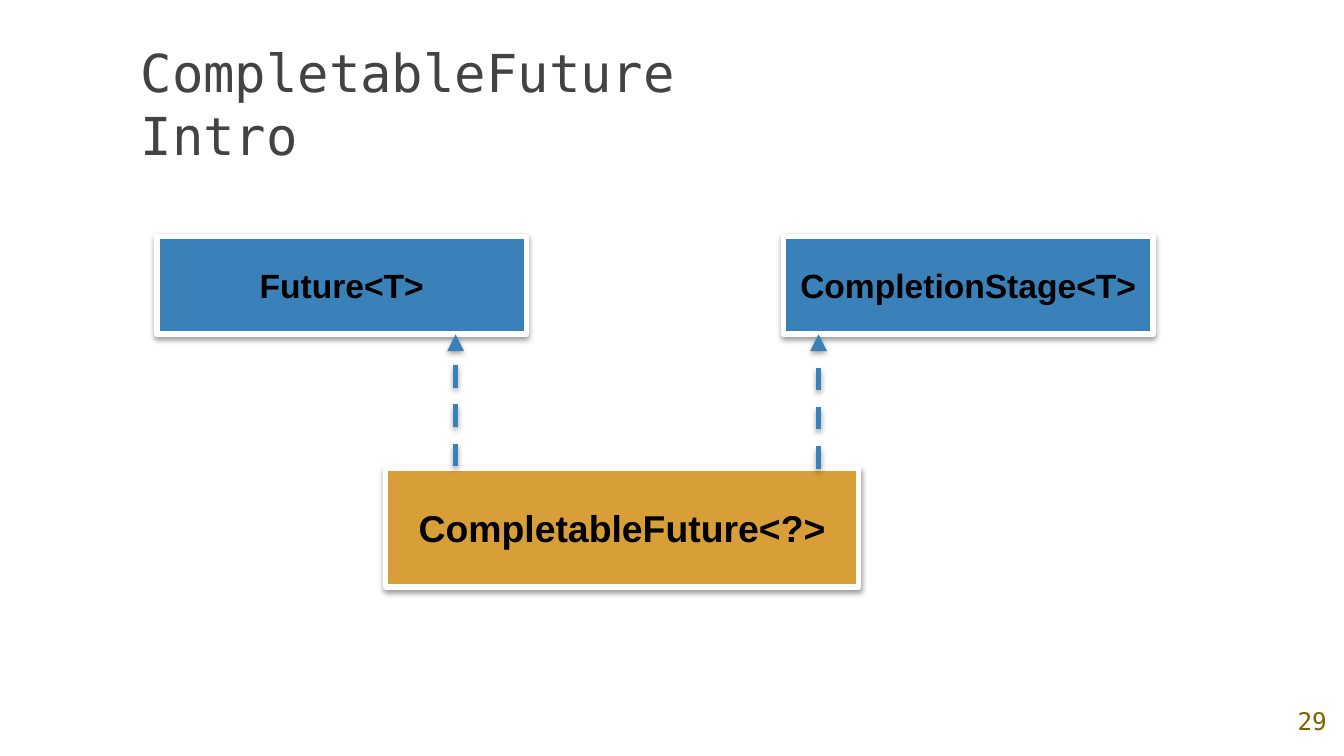
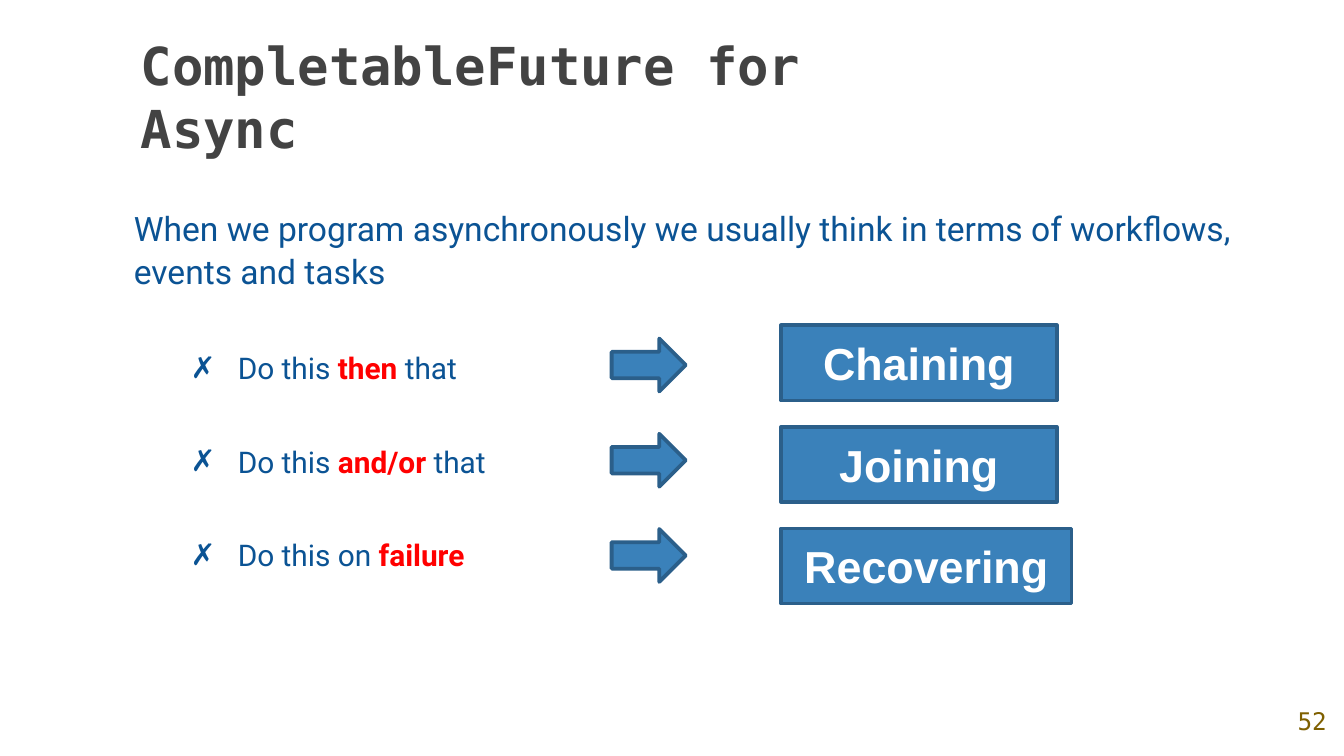
from lxml import etree
from pptx import Presentation
from pptx.dml.color import RGBColor
from pptx.enum.dml import MSO_LINE
from pptx.enum.shapes import MSO_CONNECTOR, MSO_SHAPE
from pptx.enum.text import MSO_ANCHOR, MSO_AUTO_SIZE, PP_ALIGN
from pptx.oxml.ns import qn
from pptx.util import Cm, Pt

RECT = MSO_SHAPE.RECTANGLE
PROCESS = MSO_SHAPE.FLOWCHART_PROCESS
ARROW = MSO_SHAPE.RIGHT_ARROW
STRAIGHT = MSO_CONNECTOR.STRAIGHT
DASH = MSO_LINE.DASH
LEFT, CENTER = PP_ALIGN.LEFT, PP_ALIGN.CENTER
TOP, MIDDLE, BOTTOM = MSO_ANCHOR.TOP, MSO_ANCHOR.MIDDLE, MSO_ANCHOR.BOTTOM
NO_FIT = MSO_AUTO_SIZE.NONE
TITLE_ONLY, TITLE_AND_BODY = 5, 1

SANS, MONO, BODY = "Arial", "DejaVu Sans Mono", "Roboto"
BLUE, DARK_BLUE, GOLD = "3A81BA", "2B5F8A", "D89F39"
TEXT_BLUE, GREY, BROWN = "0B5394", "434343", "7F6000"
RED, BLACK, WHITE = "FF0000", "000000", "FFFFFF"


def rgb(value):
    return RGBColor.from_string(value)


def place(sp, left, top, width, height):
    sp.left, sp.top, sp.width, sp.height = map(Cm, (left, top, width, height))


def write(p, *parts, font=SANS, size=18, color=BLACK, bold=False,
          align=LEFT, spacing=None, before=0):
    """Fill a paragraph; a part given as a tuple is emphasised."""
    p.alignment, p.space_before = align, Pt(before)
    if spacing:
        p.line_spacing = spacing
    for part in parts:
        strong = isinstance(part, tuple)
        r = p.add_run()
        r.text = part[0] if strong else part
        r.font.name, r.font.size = font, Pt(size)
        r.font.bold = bold or strong
        r.font.color.rgb = rgb(RED if strong else color)


def frame(sp, anchor=TOP, inset=None, wrap=True):
    tf = sp.text_frame
    tf.auto_size, tf.word_wrap, tf.vertical_anchor = NO_FIT, wrap, anchor
    if inset:
        tf.margin_left = tf.margin_right = Cm(inset)
        tf.margin_top = tf.margin_bottom = Cm(inset)
    return tf


def indent(p, left, first=0):
    pPr = p._p.get_or_add_pPr()
    pPr.set("marL", str(Cm(left)))
    pPr.set("indent", str(Cm(first)))
    return pPr


def add_bullet(p, char, color):
    pPr = indent(p, 1.27, -0.89)
    clr = etree.SubElement(pPr, qn("a:buClr"))
    etree.SubElement(clr, qn("a:srgbClr"), val=color)
    etree.SubElement(pPr, qn("a:buChar"), char=char)


def add_shadow(sp, alpha, dist):
    """Soft black shadow straight below the object."""
    spPr = sp._element.spPr
    effects = spPr.find(qn("a:effectLst"))
    if effects is None:
        effects = etree.SubElement(spPr, qn("a:effectLst"))
    shadow = etree.SubElement(effects, qn("a:outerShdw"), blurRad=str(Pt(3.1)),
                              dist=str(Pt(dist)), dir="5400000", rotWithShape="0")
    clr = etree.SubElement(shadow, qn("a:srgbClr"), val=BLACK)
    etree.SubElement(clr, qn("a:alpha"), val=str(alpha * 1000))


def add_block(slide, kind, box, fill, line, weight, text=None, **fmt):
    sp = slide.shapes.add_shape(kind, *map(Cm, box))
    sp.shadow.inherit = False
    sp.fill.solid()
    sp.fill.fore_color.rgb = rgb(fill)
    sp.line.color.rgb = rgb(line)
    sp.line.width = Pt(weight)
    if text:
        tf = frame(sp, MIDDLE)
        write(tf.paragraphs[0], text, bold=True, align=CENTER, **fmt)
    return sp


def add_dashed_arrow(slide, x, start, end):
    cn = slide.shapes.add_connector(STRAIGHT, Cm(x), Cm(start), Cm(x), Cm(end))
    cn.line.color.rgb = rgb(BLUE)
    cn.line.width = Pt(3)
    cn.line.dash_style = DASH
    etree.SubElement(cn.line._get_or_add_ln(), qn("a:tailEnd"), type="triangle")
    add_shadow(cn, 35, 1.8)


def add_slide(prs, layout, title, number, box, bold=False):
    """Slide with its title and page number."""
    slide = prs.slides.add_slide(prs.slide_layouts[layout])
    place(slide.shapes.title, *box)
    tf = frame(slide.shapes.title, BOTTOM, 0.25)
    write(tf.paragraphs[0], title, font=MONO, size=28, color=GREY, bold=bold)

    sp = slide.shapes.add_textbox(Cm(24.2), Cm(12.98), Cm(1.2), Cm(1.3))
    tf = frame(sp, MIDDLE, 0.25)
    write(tf.paragraphs[0], str(number), font=MONO, size=13, color=BROWN,
          align=CENTER)
    return slide


def add_hierarchy(slide, left, top):
    """Two interfaces above, the implementing class below."""
    width, height, class_top = 6.98, 1.85, top + 4.39
    types = [
        ("Future<T>", (left, top, width, height), BLUE, 18),
        ("CompletionStage<T>", (left + 11.84, top, width, height), BLUE, 18),
        ("CompletableFuture<?>", (left + 4.32, class_top, 8.94, 2.24), GOLD, 20),
    ]
    for name, box, fill, size in types:
        sp = add_block(slide, RECT, box, fill, WHITE, 3, name, size=size)
        add_shadow(sp, 38, 1.6)
    for x, gap in ((5.64, 0.05), (12.5, 0)):
        add_dashed_arrow(slide, left + x, class_top - gap, top + height)


def add_intro(slide, box, text):
    tf = frame(slide.shapes.add_textbox(*map(Cm, box)))
    p = tf.paragraphs[0]
    indent(p, 0.38)
    write(p, text, font=BODY, color=TEXT_BLUE, spacing=1.06)


def add_workflows(slide, left, top, rows):
    """Bullets on the left, each with an arrow to its named step."""
    body = slide.placeholders[1]
    place(body, left, top + 0.3, 6.6, 4.45)
    tf = frame(body, wrap=False)
    for i, (parts, step, width) in enumerate(rows):
        p = tf.add_paragraph() if i else tf.paragraphs[0]
        add_bullet(p, "✗", TEXT_BLUE)
        write(p, *parts, font=BODY, size=16, color=TEXT_BLUE, spacing=1.06,
              before=29.8 if i else 0)
        arrow_box = (left + 8.59, top + 0.25 + 1.8 * i, 1.4, 1)
        add_block(slide, ARROW, arrow_box, BLUE, DARK_BLUE, 2)
        step_box = (left + 11.79, top + 1.92 * i, width, 1.42)
        add_block(slide, PROCESS, step_box, BLUE, DARK_BLUE, 2, step,
                  size=24, color=WHITE)


def main():
    prs = Presentation()
    prs.slide_width, prs.slide_height = Cm(25.4), Cm(14.29)

    # Type hierarchy
    slide = add_slide(prs, TITLE_ONLY, "CompletableFuture Intro", 29,
                      (2.41, 1, 12.4, 2.39))
    add_hierarchy(slide, 2.97, 4.47)

    # Asynchronous workflows
    slide = add_slide(prs, TITLE_AND_BODY, "CompletableFuture for Async", 52,
                      (2.41, 0.86, 14.66, 2.39), bold=True)
    add_intro(slide, (1.9, 3.76, 21.87, 1.88),
              "When we program asynchronously we usually think in terms of "
              "workflows, events and tasks")
    add_workflows(slide, 2.97, 6.15, [
        (("Do this ", ("then ",), "that"), "Chaining", 5.21),
        (("Do this ", ("and/or",), " that"), "Joining", 5.21),
        (("Do this on ", ("failure",)), "Recovering", 5.49),
    ])

    prs.save("out.pptx")


if __name__ == "__main__":
    main()
